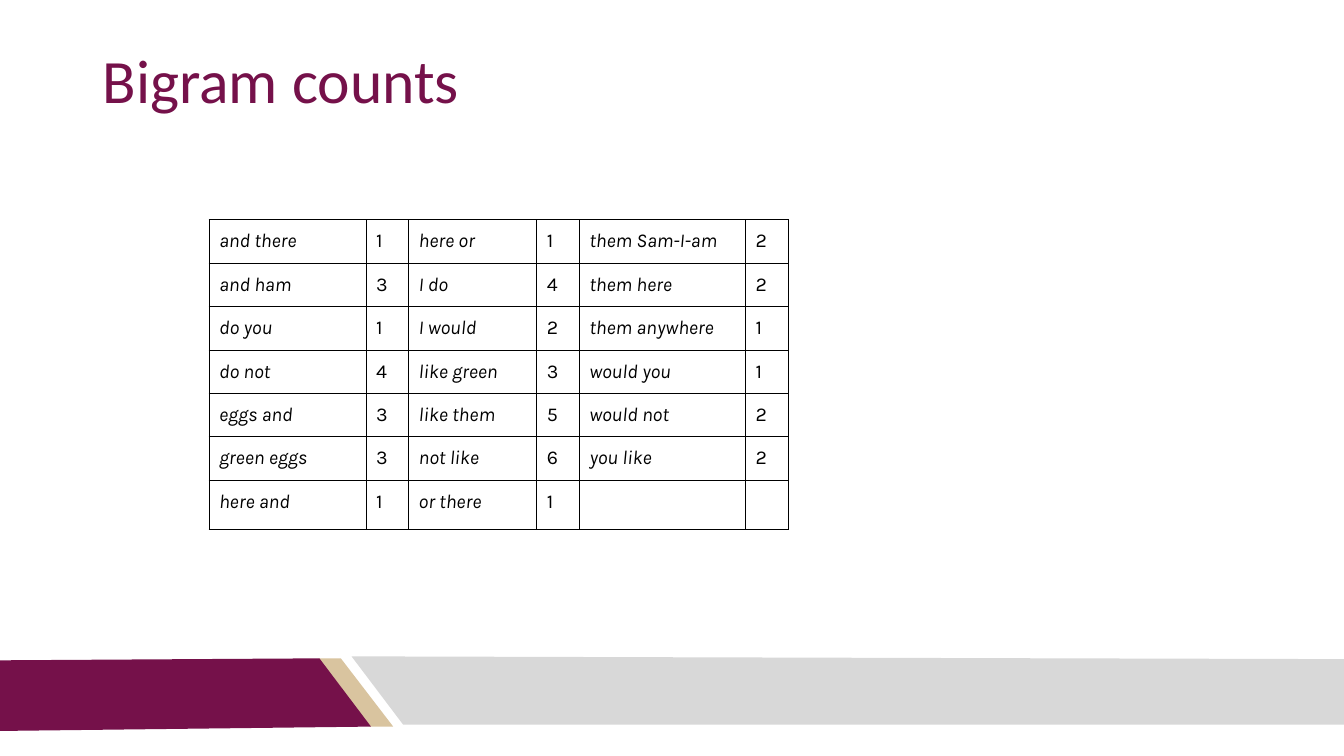
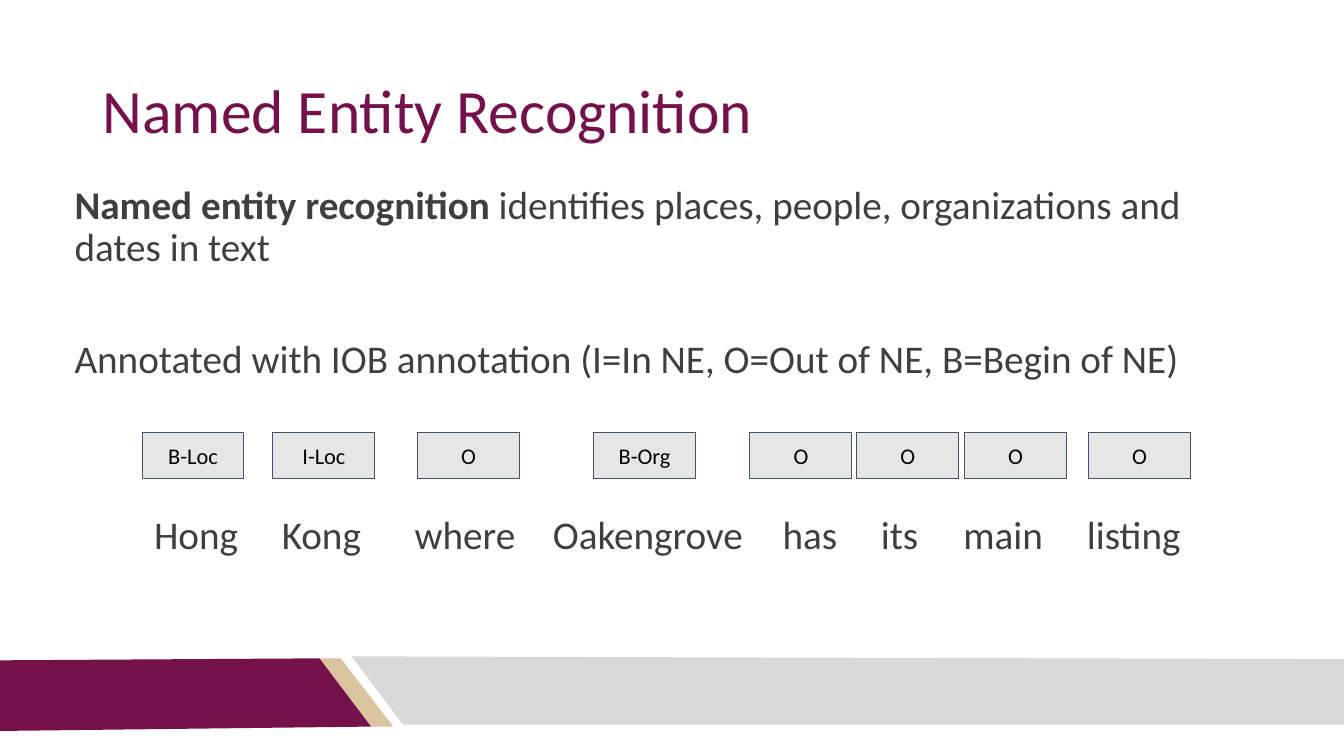
from dataclasses import dataclass

from pptx import Presentation
from pptx import util as u
from pptx.dml.color import RGBColor
from pptx.enum import shapes, text
from pptx.oxml import parse_xml
from pptx.oxml.ns import nsdecls

Cm, Pt = u.Cm, u.Pt


@dataclass(frozen=True)
class Theme:
    plum: str = "75114A"
    sand: str = "D9C49F"
    silver: str = "D8D8D8"
    body: str = "3F3F3F"
    black: str = "000000"
    tag_fill: str = "E7E6E6"
    tag_line: str = "44546A"
    font: str = "Calibri"
    table_font: str = "Karla"
    title_size: int = 44
    body_size: int = 28
    tag_size: int = 16
    table_size: int = 14
    hairline: float = 0.75
    inset: float = 0.25


THEME = Theme()

# Content (lengths in centimetres)
SLIDE_SIZE = (33.87, 19.05)
TITLE_AREA = (2.34, 1.02, 29.21, 3.68)
BANDS = [
    (THEME.sand, [(8.03, 16.59), (8.59, 16.59), (9.91, 18.31), (9.32, 18.31)]),
    (THEME.plum, [(0, 16.64), (8.05, 16.59), (9.35, 18.31), (0, 18.42)]),
    (THEME.silver, [(8.86, 16.54), (33.87, 16.61), (33.87, 18.26), (10.16, 18.26)]),
]

BIGRAMS = [
    ("and there", 1), ("and ham", 3), ("do you", 1), ("do not", 4),
    ("eggs and", 3), ("green eggs", 3), ("here and", 1),
    ("here or", 1), ("I do", 4), ("I would", 2), ("like green", 3),
    ("like them", 5), ("not like", 6), ("or there", 1),
    ("them Sam-I-am", 2), ("them here", 2), ("them anywhere", 1),
    ("would you", 1), ("would not", 2), ("you like", 2),
]
TABLE_ORIGIN = (5.27, 5.54)
COLUMN_WIDTHS = [3.96, 1.07, 3.23, 1.07, 4.19, 1.07]
ROW_HEIGHTS = [1.08] * 6 + [1.23]

DEFINITION = [
    [("Named entity recognition", True),
     (" identifies places, people, organizations and dates in text", False)],
    [("Annotated with IOB annotation (I=In NE, O=Out of NE, B=Begin of NE)", False)],
]
DEFINITION_AREA = (1.63, 4.42, 29.21, 4.04)
DEFINITION_GAP = 50
SENTENCE_AREA = (2.21, 12.75, 29.21, 2.39)
TAG_TOP, TAG_WIDTH, TAG_HEIGHT = 10.9, 2.57, 1.17
# word, centre of word, tag, left of tag
TAGGED_WORDS = [
    ("Hong", 4.94, "B-Loc", 3.58),
    ("Kong", 8.1, "I-Loc", 6.88),
    ("where", 11.72, "O", 10.52),
    ("Oakengrove", 16.33, "B-Org", 14.96),
    ("has", 20.41, "O", 18.9),
    ("its", 22.67, "O", 21.59),
    ("main", 25.28, "O", 24.31),
    ("listing", 28.57, "O", 27.43),
]


# Helpers
def style(para, size, color, font=THEME.font, italic=None):
    para.font.name = font
    para.font.size = Pt(size)
    para.font.color.rgb = RGBColor.from_string(color)
    para.font.italic = italic


def set_insets(target):
    target.margin_left = target.margin_right = Cm(THEME.inset)
    target.margin_top = target.margin_bottom = Cm(THEME.inset)


def add_text_frame(page, area, anchor=text.MSO_ANCHOR.TOP):
    frame = page.shapes.add_textbox(*map(Cm, area)).text_frame
    frame.word_wrap = True
    frame.vertical_anchor = anchor
    set_insets(frame)
    return frame


def add_page(deck, title, anchor):
    page = deck.slides.add_slide(deck.slide_layouts[6])
    for color, points in BANDS:
        corners = [(Cm(x), Cm(y)) for x, y in points]
        builder = page.shapes.build_freeform(*corners[0])
        builder.add_line_segments(corners[1:], close=True)
        band = builder.convert_to_shape()
        band.shadow.inherit = False
        band.fill.solid()
        band.fill.fore_color.rgb = RGBColor.from_string(color)
        band.line.fill.background()
    para = add_text_frame(page, TITLE_AREA, anchor).paragraphs[0]
    para.text = title
    para.line_spacing = 0.9
    style(para, THEME.title_size, THEME.plum)
    return page


def add_borders(cell):
    properties = cell._tc.get_or_add_tcPr()
    for side in ("lnL", "lnR", "lnT", "lnB"):
        properties.append(parse_xml(
            f'<a:{side} {nsdecls("a")} w="{Pt(THEME.hairline)}"><a:solidFill>'
            f'<a:srgbClr val="{THEME.black}"/></a:solidFill></a:{side}>'))


def add_bigram_table(page):
    rows, columns = len(ROW_HEIGHTS), len(COLUMN_WIDTHS)
    table = page.shapes.add_table(
        rows, columns, *map(Cm, TABLE_ORIGIN),
        Cm(sum(COLUMN_WIDTHS)), Cm(sum(ROW_HEIGHTS))).table
    table.first_row = table.horz_banding = False
    for column, width in zip(table.columns, COLUMN_WIDTHS):
        column.width = Cm(width)
    for row, height in zip(table.rows, ROW_HEIGHTS):
        row.height = Cm(height)
    # Pairs run down each pair of columns
    for index, pair in enumerate(BIGRAMS):
        group, row = divmod(index, rows)
        for offset, value in enumerate(pair):
            table.cell(row, 2 * group + offset).text = str(value)
    for index, cell in enumerate(table.iter_cells()):
        set_insets(cell)
        add_borders(cell)
        cell.fill.background()
        style(cell.text_frame.paragraphs[0], THEME.table_size, THEME.black,
              THEME.table_font, italic=index % 2 == 0)


def add_definition(page):
    frame = add_text_frame(page, DEFINITION_AREA)
    for index, spans in enumerate(DEFINITION):
        para = frame.add_paragraph() if index else frame.paragraphs[0]
        for words, bold in spans:
            span = para.add_run()
            span.text = words
            span.font.bold = bold
        para.line_spacing = 0.9
        if index:
            para.space_before = Pt(DEFINITION_GAP)
        style(para, THEME.body_size, THEME.body)


def add_sentence(page):
    para = add_text_frame(page, SENTENCE_AREA).paragraphs[0]
    para.add_run().text = "".join("\t" + word for word, *_ in TAGGED_WORDS)
    # A centred tab stop for every word
    start = SENTENCE_AREA[0] + THEME.inset
    stops = "".join(f'<a:tab pos="{Cm(centre - start)}" algn="ctr"/>'
                    for _, centre, *_ in TAGGED_WORDS)
    para._p.get_or_add_pPr().append(
        parse_xml(f'<a:tabLst {nsdecls("a")}>{stops}</a:tabLst>'))
    para.line_spacing = 0.9
    style(para, THEME.body_size, THEME.body)


def add_tags(page):
    for _, _, label, left in TAGGED_WORDS:
        tag = page.shapes.add_shape(
            shapes.MSO_SHAPE.RECTANGLE,
            *map(Cm, (left, TAG_TOP, TAG_WIDTH, TAG_HEIGHT)))
        tag.shadow.inherit = False
        tag.fill.solid()
        tag.fill.fore_color.rgb = RGBColor.from_string(THEME.tag_fill)
        tag.line.color.rgb = RGBColor.from_string(THEME.tag_line)
        tag.line.width = Pt(THEME.hairline)
        set_insets(tag.text_frame)
        tag.text_frame.vertical_anchor = text.MSO_ANCHOR.MIDDLE
        para = tag.text_frame.paragraphs[0]
        para.text = label
        para.alignment = text.PP_ALIGN.CENTER
        style(para, THEME.tag_size, THEME.black)


def main():
    deck = Presentation()
    deck.slide_width, deck.slide_height = map(Cm, SLIDE_SIZE)

    # Bigram table
    add_bigram_table(add_page(deck, "Bigram counts", text.MSO_ANCHOR.TOP))

    # Tagged sentence
    page = add_page(deck, "Named Entity Recognition", text.MSO_ANCHOR.MIDDLE)
    add_definition(page)
    add_tags(page)
    add_sentence(page)

    deck.save("out.pptx")


if __name__ == "__main__":
    main()
